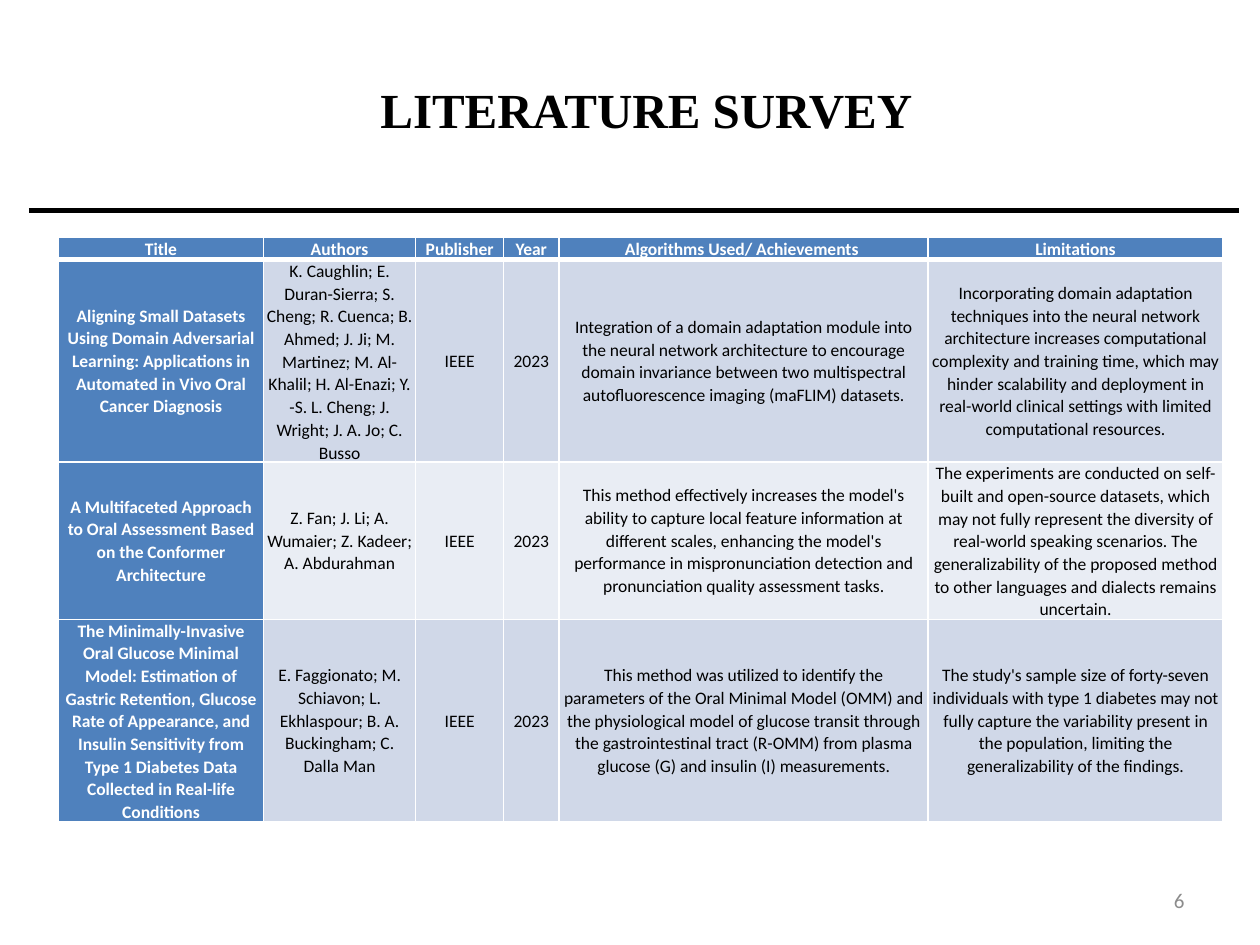
import pptx
import pptx.dml.color
import pptx.enum.shapes
import pptx.enum.text
import pptx.oxml.ns
import pptx.util
from lxml import etree

Cm = pptx.util.Cm
Pt = pptx.util.Pt
ALIGN = pptx.enum.text.PP_ALIGN
ANCHOR = pptx.enum.text.MSO_ANCHOR
qn = pptx.oxml.ns.qn

COLORS = {
    "black": "000000",
    "white": "FFFFFF",
    "gray": "8C8C8C",
    "header": "4F81BD",
    "odd": "D0D8E8",
    "even": "E9EDF4",
}

COL_WIDTHS = [4.13, 3.07, 1.77, 1.12, 7.44, 5.94]
ROW_HEIGHTS = [0.45, 4.06, 3.15, 4.06]

ROWS = [
    ["Title", "Authors", "Publisher", "Year", "Algorithms Used/ Achievements ", "Limitations"],
    [
        "Aligning Small Datasets Using Domain Adversarial Learning: Applications in "
        "Automated in Vivo Oral Cancer Diagnosis",
        "K. Caughlin; E. Duran-Sierra; S. Cheng; R. Cuenca; B. Ahmed; J. Ji; M. Martinez; "
        "M. Al-Khalil; H. Al-Enazi; Y. -S. L. Cheng; J. Wright; J. A. Jo; C. Busso",
        "IEEE",
        "2023",
        "Integration of a domain adaptation module into the neural network architecture to "
        "encourage domain invariance between two multispectral autofluorescence imaging "
        "(maFLIM) datasets.",
        "Incorporating domain adaptation techniques into the neural network architecture "
        "increases computational complexity and training time, which may hinder scalability "
        "and deployment in real-world clinical settings with limited computational resources.",
    ],
    [
        "A Multifaceted Approach to Oral Assessment Based on the Conformer Architecture",
        "Z. Fan; J. Li; A. Wumaier; Z. Kadeer; A. Abdurahman",
        "IEEE",
        "2023",
        "This method effectively increases the model's ability to capture local feature "
        "information at different scales, enhancing the model's performance in "
        "mispronunciation detection and pronunciation quality assessment tasks.",
        "The experiments are conducted on self-built and open-source datasets, which may not "
        "fully represent the diversity of real-world speaking scenarios. The generalizability "
        "of the proposed method to other languages and dialects remains uncertain.",
    ],
    [
        "The Minimally-Invasive Oral Glucose Minimal Model: Estimation of Gastric Retention, "
        "Glucose Rate of Appearance, and Insulin Sensitivity from Type 1 Diabetes Data "
        "Collected in Real-life Conditions",
        "E. Faggionato; M. Schiavon; L. Ekhlaspour; B. A. Buckingham; C. Dalla Man",
        "IEEE",
        "2023",
        "This method was utilized to identify the parameters of the Oral Minimal Model (OMM) "
        "and the physiological model of glucose transit through the gastrointestinal tract "
        "(R-OMM) from plasma glucose (G) and insulin (I) measurements.",
        "The study's sample size of forty-seven individuals with type 1 diabetes may not fully "
        "capture the variability present in the population, limiting the generalizability of "
        "the findings.",
    ],
]


def rgb(name):
    return pptx.dml.color.RGBColor.from_string(COLORS[name])


def style(p, size, font, color, bold, align):
    p.alignment = align
    p.font.size = Pt(size)
    p.font.name = font
    p.font.bold = bold
    p.font.color.rgb = rgb(color)


def add_text(slide, box, text, size, font, color, bold=False, align=ALIGN.LEFT,
             anchor=ANCHOR.TOP, wrap=True):
    sp = slide.shapes.add_textbox(*[Cm(v) for v in box])
    tf = sp.text_frame
    tf.word_wrap = wrap
    tf.vertical_anchor = anchor
    p = tf.paragraphs[0]
    p.text = text
    style(p, size, font, color, bold, align)


def add_rule(slide, x1, x2, y):
    line = slide.shapes.add_connector(
        pptx.enum.shapes.MSO_CONNECTOR.STRAIGHT, Cm(x1), Cm(y), Cm(x2), Cm(y))
    line.line.color.rgb = rgb("black")
    line.line.width = Pt(3)
    etree.SubElement(line._element.spPr, qn("a:effectLst"))


def set_borders(cell, bottom):
    tc_pr = cell._tc.get_or_add_tcPr()
    widths = {"a:lnL": 1, "a:lnR": 1, "a:lnT": 1, "a:lnB": bottom}
    for i, (tag, width) in enumerate(widths.items()):
        ln = etree.Element(qn(tag), w=str(Pt(width)))
        fill = etree.SubElement(ln, qn("a:solidFill"))
        etree.SubElement(fill, qn("a:srgbClr"), val=COLORS["white"])
        tc_pr.insert(i, ln)


def fill_cell(cell, text, row, col):
    strong = row == 0 or col == 0
    cell.margin_left = cell.margin_right = Cm(0.07)
    cell.margin_top = cell.margin_bottom = 0
    cell.vertical_anchor = ANCHOR.MIDDLE
    cell.fill.solid()
    cell.fill.fore_color.rgb = rgb("header" if strong else "odd" if row % 2 else "even")
    set_borders(cell, 3 if row == 0 else 1)
    p = cell.text_frame.paragraphs[0]
    p.text = text
    p.line_spacing = 1.07
    p.space_after = Pt(8)
    style(p, 10, "Calibri", "white" if strong else "black", strong, ALIGN.CENTER)


def add_survey_table(slide, left, top):
    table = slide.shapes.add_table(
        len(ROWS), len(COL_WIDTHS), Cm(left), Cm(top),
        Cm(sum(COL_WIDTHS)), Cm(sum(ROW_HEIGHTS))).table
    for column, width in zip(table.columns, COL_WIDTHS):
        column.width = Cm(width)
    for row, height in zip(table.rows, ROW_HEIGHTS):
        row.height = Cm(height)
    for i, texts in enumerate(ROWS):
        for j, text in enumerate(texts):
            fill_cell(table.cell(i, j), text, i, j)


def main():
    prs = pptx.Presentation()
    prs.slide_width, prs.slide_height = Cm(25.4), Cm(19.05)
    slide = prs.slides.add_slide(prs.slide_layouts[6])
    add_text(slide, (18.2, 17.65, 5.93, 1.01), "6", 12, "Calibri", "gray",
             align=ALIGN.RIGHT, anchor=ANCHOR.MIDDLE)
    add_rule(slide, 0.58, 24.97, 4.24)
    add_text(slide, (7.42, 1.47, 11.35, 1.45), "LITERATURE SURVEY", 28, "Times New Roman",
             "black", bold=True, wrap=False)
    add_survey_table(slide, 1.18, 4.78)
    prs.save("out.pptx")


if __name__ == "__main__":
    main()
